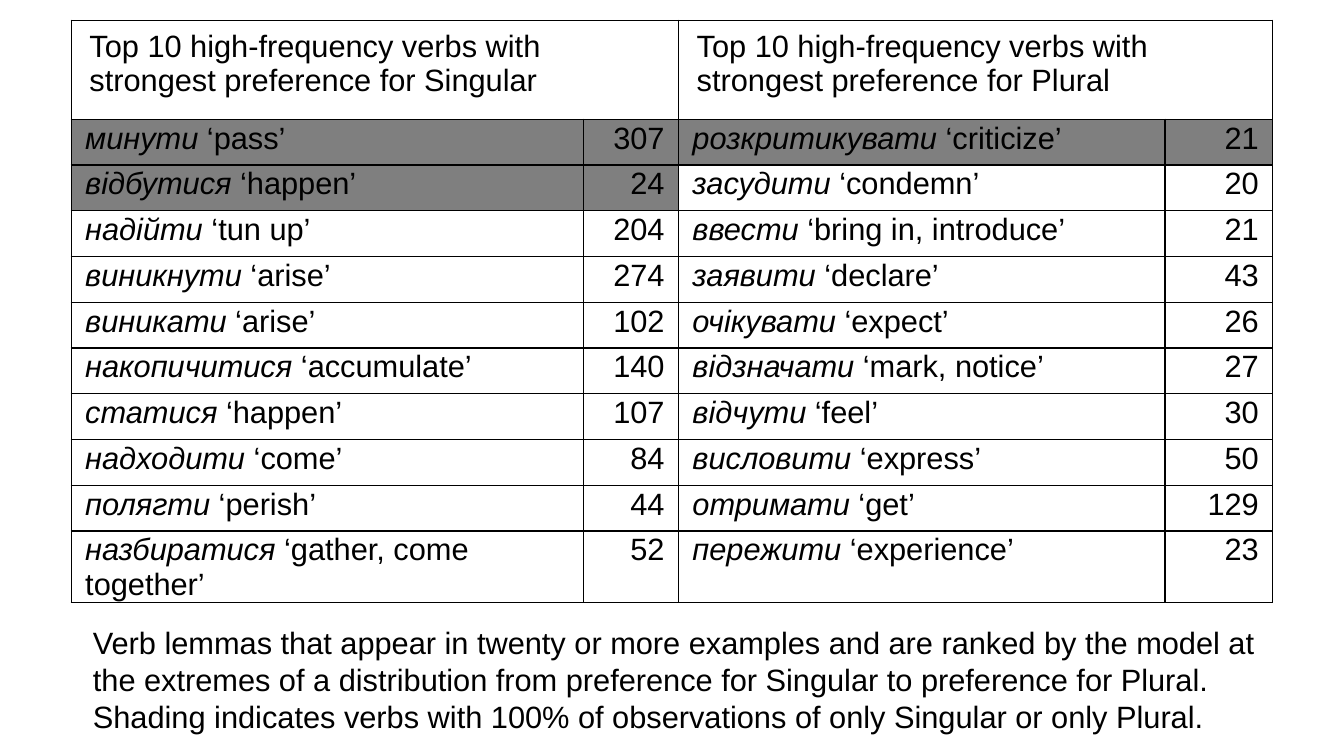
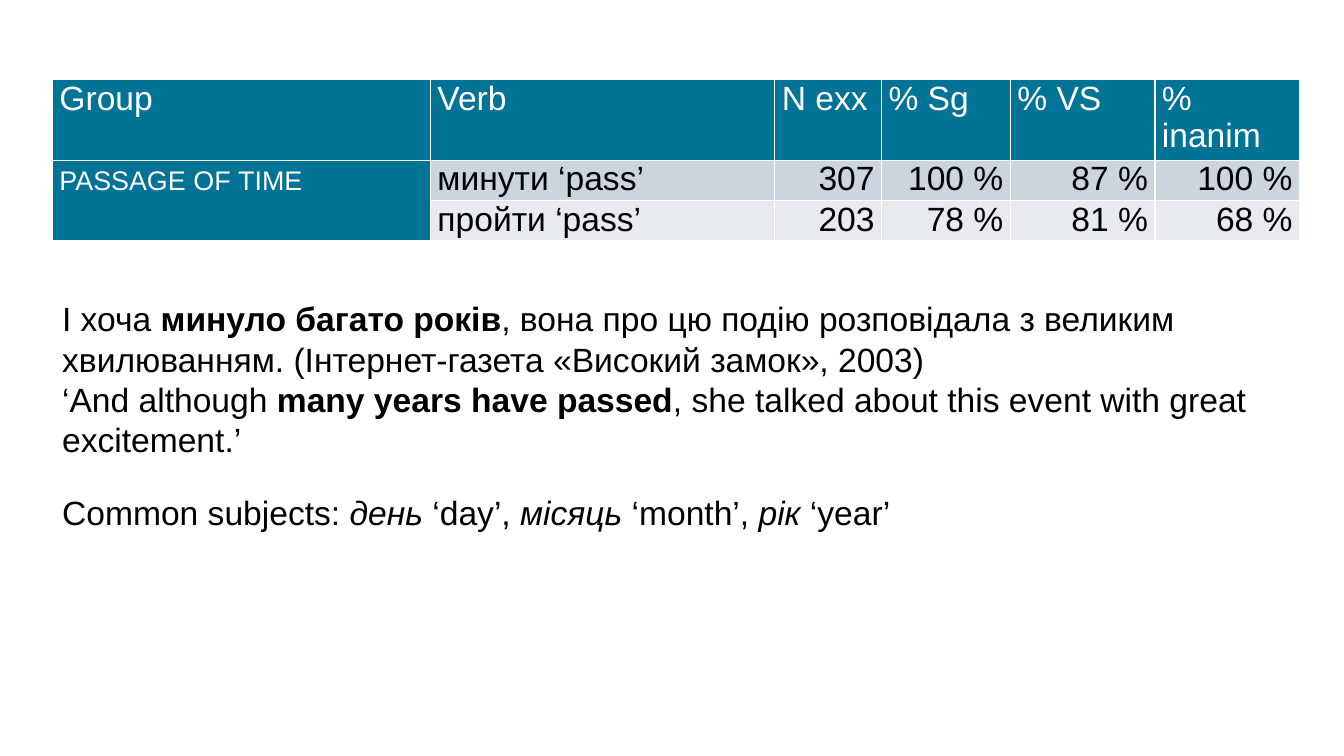
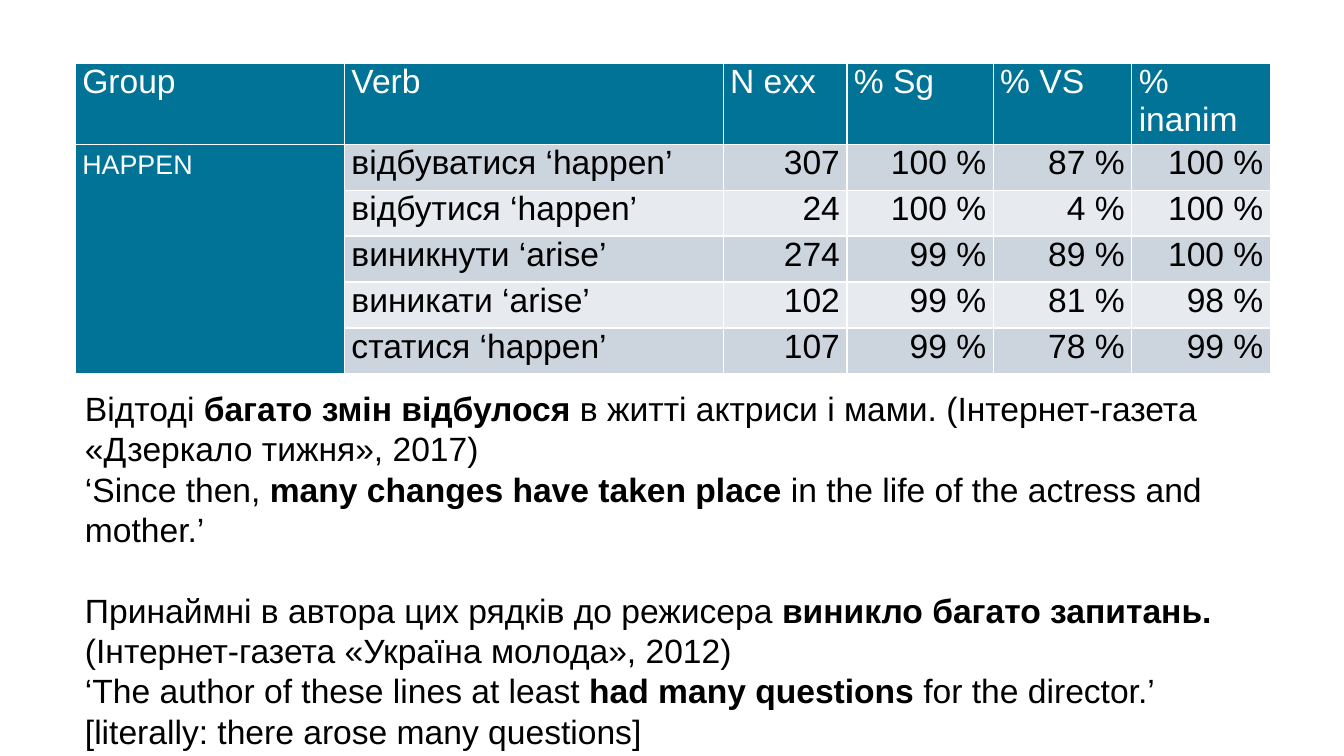
from lxml import etree
from pptx import Presentation
from pptx.dml.color import RGBColor
from pptx.enum import text
from pptx.oxml.ns import qn
from pptx.util import Pt

FONT = "Arial"
COLORS = {"text": "000000", "paper": "FFFFFF", "shade": "7F7F7F", "teal": "007396",
          "band_dark": "CCD5DD", "band_light": "E7EBEF"}
BODY = {"size": 24, "color": "text", "emphasis": "bold"}
RANKING = {"size": 22, "color": "text", "emphasis": "italic"}
TITLE_INSETS = (13, 6.5, 13, 6.5)
RANKING_INSETS = (10, 1.4, 10, 0)
GROUP_INSETS = (5, 0, 5, 0)
SIDES = ("left", "top", "right", "bottom")
LEFT, RIGHT = text.PP_ALIGN.LEFT, text.PP_ALIGN.RIGHT

SINGULAR = [
    ("*минути* ‘pass’", "307"), ("*відбутися* ‘happen’", "24"),
    ("*надійти* ‘tun up’", "204"), ("*виникнути* ‘arise’", "274"),
    ("*виникати* ‘arise’", "102"), ("*накопичитися* ‘accumulate’", "140"),
    ("*статися* ‘happen’", "107"), ("*надходити* ‘come’", "84"),
    ("*полягти* ‘perish’", "44"), ("*назбиратися* ‘gather, come together’", "52"),
]
PLURAL = [
    ("*розкритикувати* ‘criticize’", "21"), ("*засудити* ‘condemn’", "20"),
    ("*ввести* ‘bring in, introduce’", "21"), ("*заявити* ‘declare’", "43"),
    ("*очікувати* ‘expect’", "26"), ("*відзначати* ‘mark, notice’", "27"),
    ("*відчути* ‘feel’", "30"), ("*висловити* ‘express’", "50"),
    ("*отримати* ‘get’", "129"), ("*пережити* ‘experience’", "23"),
]
SHADED_ROWS = (2, 1)  # singular, plural
GROUP_HEADS = ("Group", "Verb", "N exx", "% Sg", "% VS", "% inanim")
PASSAGE_OF_TIME = [("минути ‘pass’", 307, 100, 87, 100), ("пройти ‘pass’", 203, 78, 81, 68)]
HAPPEN = [
    ("відбуватися ‘happen’", 307, 100, 87, 100), ("відбутися ‘happen’", 24, 100, 4, 100),
    ("виникнути ‘arise’", 274, 99, 89, 100), ("виникати ‘arise’", 102, 99, 81, 98),
    ("статися ‘happen’", 107, 99, 78, 99),
]


def rgb(name):
    return RGBColor.from_string(COLORS[name])


def write(p, marked, size, color, emphasis, align=LEFT, small_caps=False):
    """Fill a paragraph; the parts between asterisks get the emphasis."""
    p.alignment = align
    p.line_spacing = 1.0
    for i, part in enumerate(marked.split("*")):
        if not part:
            continue
        r = p.add_run()
        r.text = part
        fmt = {"name": FONT, "size": Pt(size), "bold": False, "italic": False}
        if i % 2:
            fmt[emphasis] = True
        for key, value in fmt.items():
            setattr(r.font, key, value)
        r.font.color.rgb = rgb(color)
        if small_caps:
            r.font._element.set("cap", "small")


def add_text(s, box, paragraphs, fmt, gaps=None):
    """Add a text box; gaps maps a paragraph index to its space before."""
    tf = s.shapes.add_textbox(*map(Pt, box)).text_frame
    tf.word_wrap = True
    for i, marked in enumerate(paragraphs):
        p = tf.add_paragraph() if i else tf.paragraphs[0]
        if gaps and i in gaps:
            p.space_before = Pt(gaps[i])
        write(p, marked, **fmt)


def add_grid(s, left, top, cols, rows, border):
    """Add a plain table with 1 pt borders all round each cell."""
    table = s.shapes.add_table(len(rows), len(cols), Pt(left), Pt(top),
                               Pt(sum(cols)), Pt(sum(rows))).table
    table.first_row = table.horz_banding = False
    for col, width in zip(table.columns, cols):
        col.width = Pt(width)
    for row, height in zip(table.rows, rows):
        row.height = Pt(height)
    for cell in table.iter_cells():
        tcPr = cell._tc.get_or_add_tcPr()
        for side in "LRTB":
            ln = etree.SubElement(tcPr, qn("a:ln" + side), w=str(Pt(1)))
            fill = etree.SubElement(ln, qn("a:solidFill"))
            etree.SubElement(fill, qn("a:srgbClr"), val=COLORS[border])
        cell.fill.background()
    return table


def fill_cell(cell, marked, fmt, insets, fill=None, **extra):
    for side, inset in zip(SIDES, insets):
        setattr(cell, "margin_" + side, Pt(inset))
    if fill:
        cell.fill.solid()
        cell.fill.fore_color.rgb = rgb(fill)
    write(cell.text_frame.paragraphs[0], marked, **fmt, **extra)


def add_ranking_table(s, left, top, cols):
    rows = [70.8] + [32.7] * (len(SINGULAR) - 1) + [51]
    table = add_grid(s, left, top, cols, rows, "text")
    halves = zip((0, 2), ("Singular", "Plural"), (SINGULAR, PLURAL), SHADED_ROWS)
    for c, number, verbs, shaded in halves:
        table.cell(0, c).merge(table.cell(0, c + 1))
        title = "Top 10 high-frequency verbs with strongest preference for " + number
        fill_cell(table.cell(0, c), title, RANKING, TITLE_INSETS)
        for i, (verb, count) in enumerate(verbs):
            fill = "shade" if i < shaded else None
            for k, value, align in ((0, verb, LEFT), (1, count, RIGHT)):
                fill_cell(table.cell(i + 1, c + k), value, RANKING, RANKING_INSETS,
                          fill, align=align)


def add_group_table(s, left, top, cols, row_height, group, verbs):
    table = add_grid(s, left, top, cols, [53.8] + [row_height] * len(verbs), "paper")
    head = dict(BODY, color="paper")
    for c, label in enumerate(GROUP_HEADS):
        fill_cell(table.cell(0, c), label, head, GROUP_INSETS, "teal")
    table.cell(1, 0).merge(table.cell(len(verbs), 0))
    fill_cell(table.cell(1, 0), group, head, GROUP_INSETS, "teal", small_caps=True)
    for i, (verb, count, *shares) in enumerate(verbs):
        fill = "band_light" if i % 2 else "band_dark"
        values = [verb, str(count)] + [f"{share} %" for share in shares]
        for c, value in enumerate(values, 1):
            fill_cell(table.cell(i + 1, c), value, BODY, GROUP_INSETS, fill,
                      align=LEFT if c == 1 else RIGHT)


def ranking_slide(s):
    add_ranking_table(s, 50.9, 14.4, (365.8, 68, 347.5, 77))
    add_text(s, (59.3, 442.1, 848, 87), [
        "Verb lemmas that appear in twenty or more examples and are ranked by the model "
        "at the extremes of a distribution from preference for Singular to preference for "
        "Plural. Shading indicates verbs with 100% of observations of only Singular or "
        "only Plural."], RANKING)


def passage_slide(s):
    add_group_table(s, 37.5, 56.9, (270, 246, 76.2, 92, 103.3, 103.3), 26.9,
                    "passage of time", PASSAGE_OF_TIME)
    add_text(s, (37.3, 209.5, 891.5, 124), [
        "І хоча *минуло багато років*, вона про цю подію розповідала з великим "
        "хвилюванням. (Інтернет-газета «Високий замок», 2003)",
        "‘And although *many years have passed*, she talked about this event with great "
        "excitement.’"], BODY)
    add_text(s, (37.3, 347.8, 813.6, 36),
             ["Common subjects: *день* ‘day’, *місяць* ‘month’, *рік* ‘year’"],
             dict(BODY, emphasis="italic"))


def happen_slide(s):
    add_group_table(s, 53.8, 45.4, (192.3, 270.5, 88.4, 104.5, 99, 99), 32.8,
                    "happen", HAPPEN)
    add_text(s, (53.6, 273.6, 871, 240), [
        "Відтоді *багато змін відбулося *в житті актриси і мами. (Інтернет-газета "
        "«Дзеркало тижня», 2017)",
        "‘Since then, *many changes have taken place* in the life of the actress and "
        "mother.’",
        "Принаймні в автора цих рядків до режисера *виникло багато запитань.* "
        "(Інтернет-газета «Україна молода», 2012)",
        "‘The author of these lines at least *had many questions* for the director.’ "
        "[literally: there arose many questions]"], BODY, gaps={2: 28.8})


def main():
    prs = Presentation()
    prs.slide_width, prs.slide_height = Pt(960), Pt(540)
    for build in (ranking_slide, passage_slide, happen_slide):
        build(prs.slides.add_slide(prs.slide_layouts[6]))
    prs.save("out.pptx")


if __name__ == "__main__":
    main()
